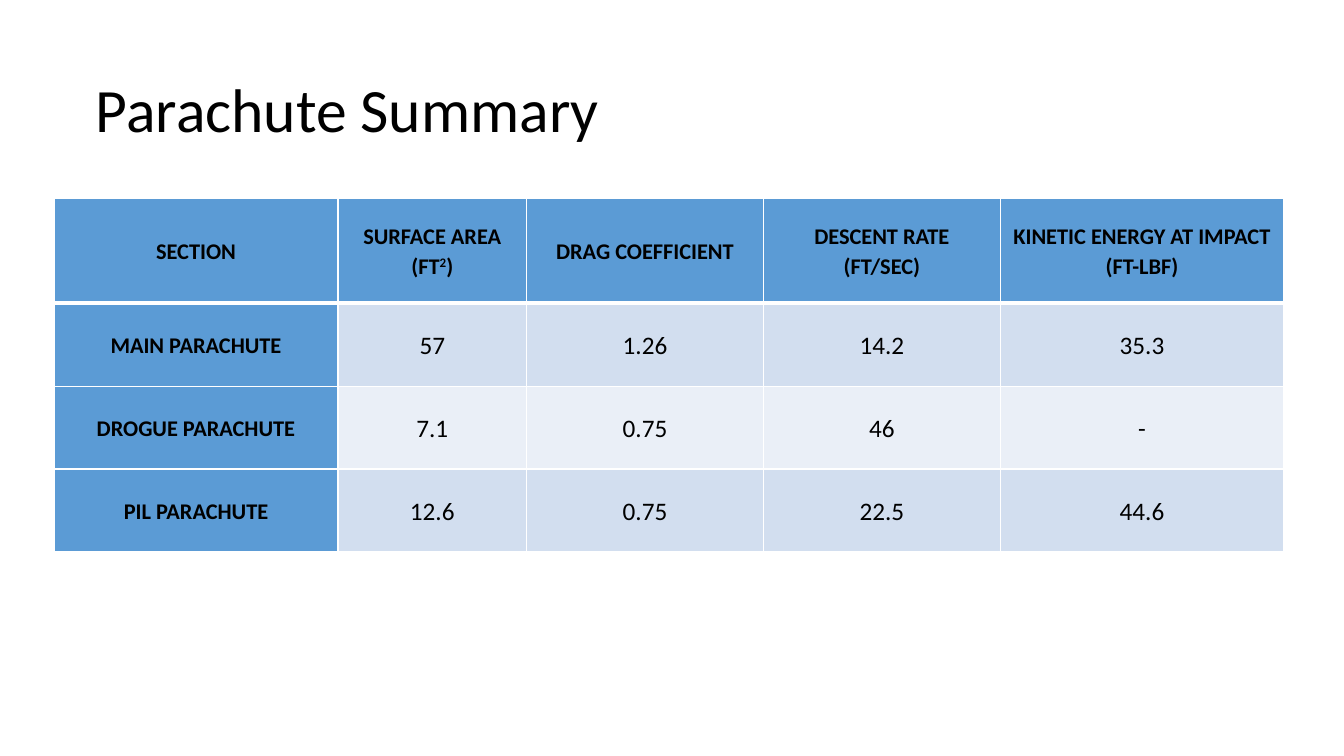
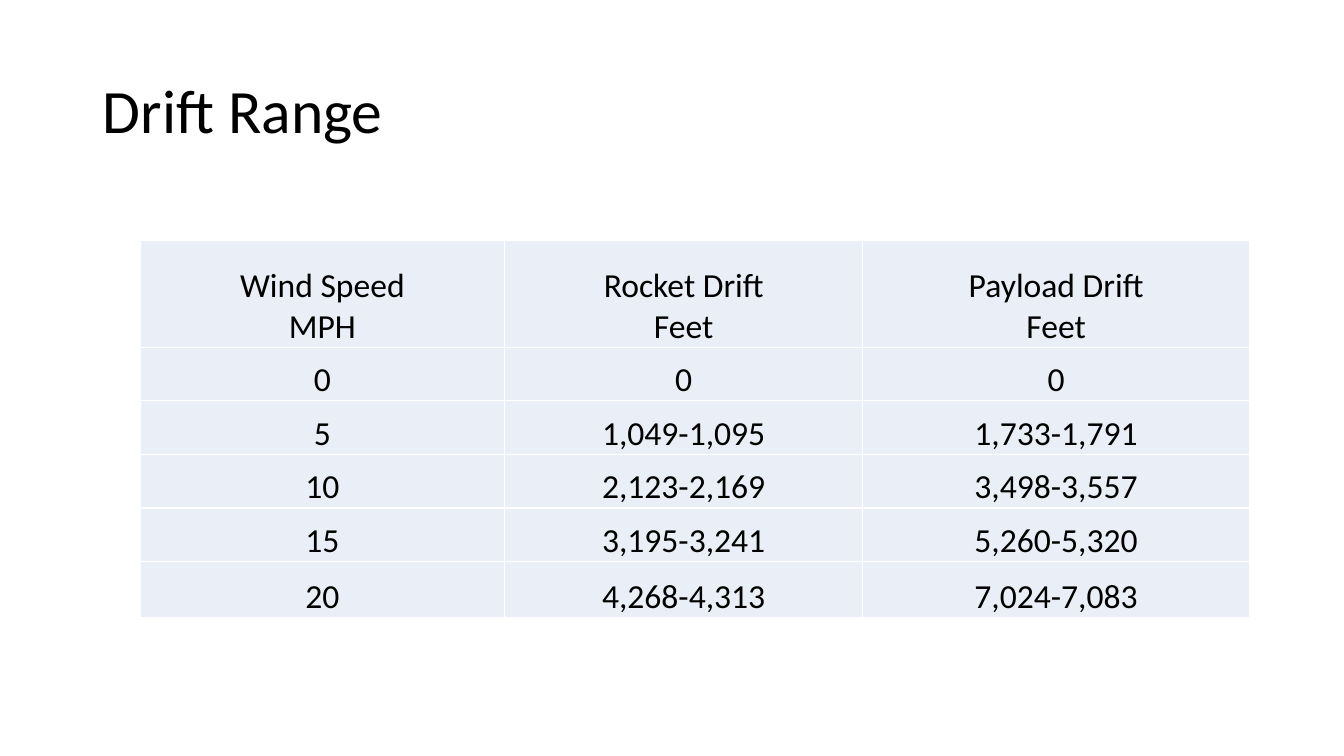
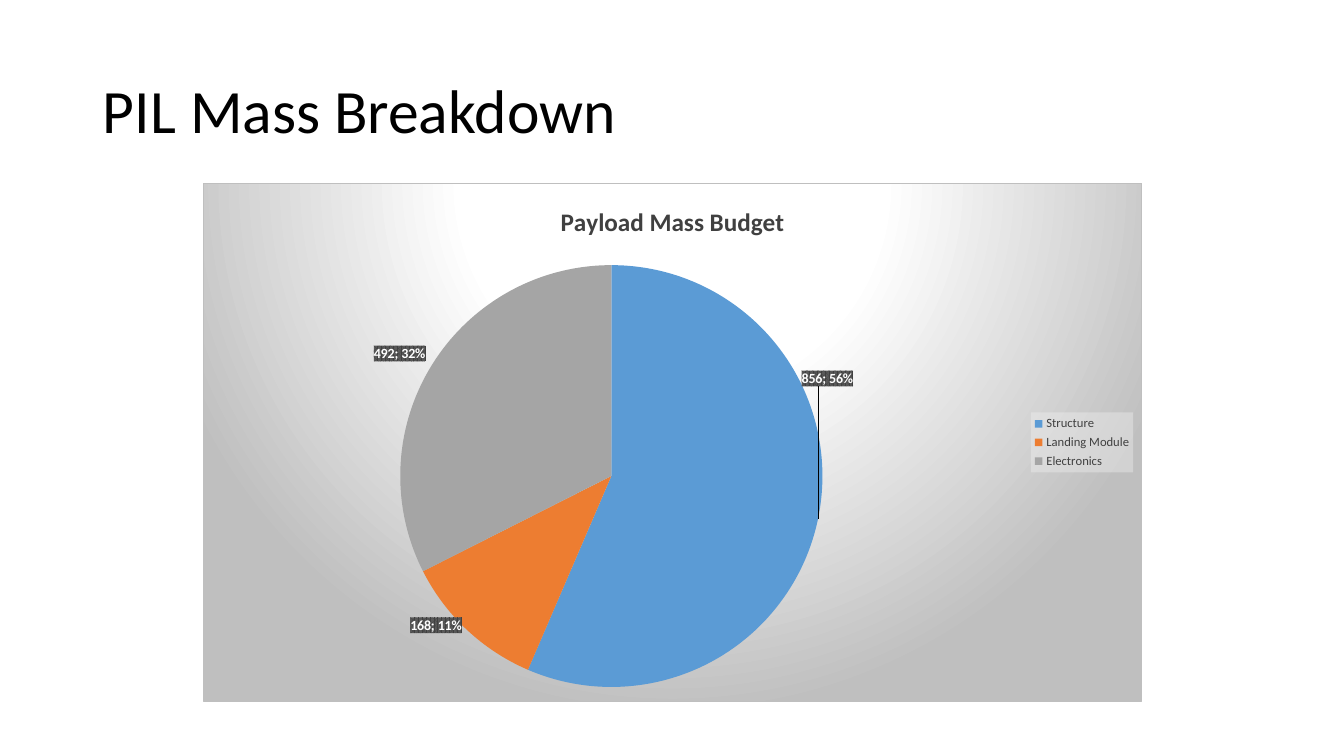
from pptx import Presentation
from pptx.chart.data import CategoryChartData
from pptx.dml.color import RGBColor
from pptx.enum.chart import XL_CHART_TYPE as ChartType, XL_LEGEND_POSITION as LegendPos
from pptx.enum.text import MSO_ANCHOR as Anchor, MSO_AUTO_SIZE as AutoSize, PP_ALIGN as Align
from pptx.oxml import parse_xml
from pptx.oxml.ns import nsdecls, qn
from pptx.util import Cm, Pt

FONT = "Calibri"
BLACK = RGBColor(0x00, 0x00, 0x00)
WHITE = RGBColor(0xFF, 0xFF, 0xFF)
DARK = RGBColor(0x40, 0x40, 0x40)
LABEL_GRAY = RGBColor(0x59, 0x59, 0x59)
EDGE_GRAY = RGBColor(0xBF, 0xBF, 0xBF)
LEGEND_GRAY = RGBColor(0xF2, 0xF2, 0xF2)
BLUE = RGBColor(0x5B, 0x9B, 0xD5)
ORANGE = RGBColor(0xED, 0x7D, 0x31)
GRAY = RGBColor(0xA5, 0xA5, 0xA5)
BAND_DARK = RGBColor(0xD2, 0xDE, 0xEF)
BAND_LIGHT = RGBColor(0xEA, 0xEF, 0xF7)

TITLE_BOX = (2.34, 1.02, 29.21, 3.68)

PARACHUTES = [
    ["SECTION", "SURFACE AREA (FT^2^)", "DRAG COEFFICIENT",
     "DESCENT RATE\n(FT/SEC)", "KINETIC ENERGY AT IMPACT\n(FT-LBF)"],
    ["MAIN PARACHUTE", "57", "1.26", "14.2", "35.3"],
    ["DROGUE PARACHUTE", "7.1", "0.75", "46", "-"],
    ["PIL PARACHUTE", "12.6", "0.75", "22.5", "44.6"],
]
DRIFT = [
    ["Wind Speed\vMPH", "Rocket Drift\vFeet", "Payload Drift\vFeet"],
    ["0", "0", "0"],
    ["5", "1,049-1,095", "1,733-1,791"],
    ["10", "2,123-2,169", "3,498-3,557"],
    ["15", "3,195-3,241", "5,260-5,320"],
    ["20", "4,268-4,313", "7,024-7,083"],
]
# Part, mass, colour, label offset from the slice centre (share of the chart)
MASSES = [
    ("Structure", 856, BLUE, (0.12, -0.23)),
    ("Landing Module", 168, ORANGE, (-0.11, 0.14)),
    ("Electronics", 492, GRAY, (-0.13, -0.13)),
]


def set_font(font, size, color=BLACK, bold=False):
    font.name, font.size, font.bold = FONT, Pt(size), bold
    font.color.rgb = color


def titled_slide(prs, text, box=TITLE_BOX):
    slide = prs.slides.add_slide(prs.slide_layouts[5])
    title = slide.shapes.title
    title.left, title.top, title.width, title.height = map(Cm, box)
    frame = title.text_frame
    frame.text = text
    frame.auto_size = AutoSize.NONE
    frame.vertical_anchor = Anchor.MIDDLE
    heading = frame.paragraphs[0]
    heading.alignment = Align.LEFT
    heading.line_spacing = 0.9
    set_font(heading.font, 44)
    return slide


# Tables

def set_borders(cell, top=1, bottom=1):
    props = cell._tc.get_or_add_tcPr()
    for side, width in (("L", 1), ("R", 1), ("T", top), ("B", bottom)):
        props.append(parse_xml(
            f'<a:ln{side} {nsdecls("a")} w="{Pt(width)}"><a:solidFill>'
            f'<a:srgbClr val="{WHITE}"/></a:solidFill></a:ln{side}>'))


def write_cell(cell, text, size, bold, spacing):
    """Each line is a paragraph; text between ^ marks is superscript."""
    frame = cell.text_frame
    frame.text = text.replace("^", "") if "^" not in text else ""
    if "^" in text:
        for i, part in enumerate(text.split("^")):
            run = frame.paragraphs[0].add_run()
            run.text = part
            if i % 2:
                run.font._element.set("baseline", "30000")
    for line in frame.paragraphs:
        line.alignment = Align.CENTER
        line.line_spacing = spacing
        set_font(line.font, size, bold=bold)


def add_grid(slide, left, top, widths, heights, rows):
    """Add a plain table and yield each cell with its row, column and text."""
    table = slide.shapes.add_table(
        len(rows), len(widths), Cm(left), Cm(top),
        Cm(sum(widths)), Cm(sum(heights))).table
    table.first_row = table.horz_banding = False
    for column, width in zip(table.columns, widths):
        column.width = Cm(width)
    for row, height in zip(table.rows, heights):
        row.height = Cm(height)
    for r, texts in enumerate(rows):
        for c, text in enumerate(texts):
            yield table.cell(r, c), r, c, text


def parachute_table(slide, left, top):
    widths = [7.16, 4.75, 5.97, 5.97, 7.14]
    heights = [2.64] + [2.09] * 3
    for cell, r, c, text in add_grid(slide, left, top, widths, heights, PARACHUTES):
        is_head = r == 0 or c == 0
        set_borders(cell, top=3 if r == 1 else 1, bottom=3 if r == 0 else 1)
        cell.fill.solid()
        cell.fill.fore_color.rgb = BLUE if is_head else (BAND_LIGHT, BAND_DARK)[r % 2]
        cell.vertical_anchor = Anchor.MIDDLE
        cell.margin_left = cell.margin_right = Cm(0.18)
        cell.margin_top = cell.margin_bottom = 0
        write_cell(cell, text, 16 if is_head else 18, is_head, 1.07)


def drift_table(slide, left, top):
    widths = [9.19, 9.02, 9.75]
    heights = [2.69] + [1.35] * 4 + [1.42]
    for cell, _, _, text in add_grid(slide, left, top, widths, heights, DRIFT):
        set_borders(cell)
        cell.fill.solid()
        cell.fill.fore_color.rgb = BAND_LIGHT
        cell.vertical_anchor = Anchor.BOTTOM
        cell.margin_left = cell.margin_right = cell.margin_top = Cm(0.03)
        cell.margin_bottom = 0
        write_cell(cell, text, 24, False, 1.0)


# Chart

def chart_part(tag, body):
    return parse_xml(f'<c:{tag} {nsdecls("c", "a")}>{body}</c:{tag}>')


def gradient_backdrop():
    stops = "".join(
        f'<a:gs pos="{pos}000"><a:srgbClr val="{color}"/></a:gs>'
        for pos, color in ((0, WHITE), (39, WHITE), (100, EDGE_GRAY)))
    return chart_part("spPr", (
        f'<a:gradFill><a:gsLst>{stops}</a:gsLst><a:path path="circle">'
        '<a:fillToRect l="50000" t="-80000" r="50000" b="180000"/></a:path></a:gradFill>'
        f'<a:ln w="{Pt(0.75)}"><a:solidFill><a:srgbClr val="{EDGE_GRAY}"/>'
        '</a:solidFill></a:ln>'))


def mass_labels():
    style = (
        '<c:spPr><a:pattFill prst="pct75">'
        f'<a:fgClr><a:srgbClr val="{DARK}"/></a:fgClr>'
        f'<a:bgClr><a:srgbClr val="{LABEL_GRAY}"/></a:bgClr></a:pattFill></c:spPr>'
        '<c:txPr><a:bodyPr/><a:p><a:pPr><a:defRPr sz="1000" b="1"><a:solidFill>'
        f'<a:srgbClr val="{WHITE}"/></a:solidFill><a:latin typeface="{FONT}"/>'
        '</a:defRPr></a:pPr><a:endParaRPr lang="en-US"/></a:p></c:txPr>'
        '<c:dLblPos val="ctr"/><c:showLegendKey val="0"/><c:showVal val="1"/>'
        '<c:showCatName val="0"/><c:showSerName val="0"/><c:showPercent val="1"/>'
        '<c:showBubbleSize val="0"/><c:separator>; </c:separator>')
    moved = "".join(
        f'<c:dLbl><c:idx val="{i}"/><c:layout><c:manualLayout>'
        f'<c:x val="{x}"/><c:y val="{y}"/></c:manualLayout></c:layout>{style}</c:dLbl>'
        for i, (_, _, _, (x, y)) in enumerate(MASSES))
    return chart_part("dLbls", f'{moved}{style}<c:showLeaderLines val="1"/>')


def pie_layout(x, y, w, h):
    return chart_part("layout", (
        '<c:manualLayout><c:layoutTarget val="inner"/>'
        '<c:xMode val="edge"/><c:yMode val="edge"/>'
        f'<c:x val="{x}"/><c:y val="{y}"/><c:w val="{w}"/><c:h val="{h}"/>'
        '</c:manualLayout>'))


def mass_chart(slide, left, top, width, height):
    data = CategoryChartData()
    data.categories = [part for part, *_ in MASSES]
    data.add_series("Series 1", [mass for _, mass, *_ in MASSES])
    chart = slide.shapes.add_chart(
        ChartType.PIE, Cm(left), Cm(top), Cm(width), Cm(height), data).chart
    set_font(chart.font, 10)

    # Title and legend
    chart.has_title = True
    chart.chart_title.text_frame.text = "Payload Mass Budget"
    set_font(chart.chart_title.text_frame.paragraphs[0].font, 18, DARK, True)
    chart.has_legend = True
    legend = chart.legend
    legend.position = LegendPos.RIGHT
    legend.include_in_layout = False
    set_font(legend.font, 9, DARK)
    legend._element.find(qn("c:txPr")).addprevious(chart_part("spPr", (
        f'<a:solidFill><a:srgbClr val="{LEGEND_GRAY}"><a:alpha val="39000"/>'
        '</a:srgbClr></a:solidFill>')))

    # Slices and their labels
    plot = chart.plots[0]
    plot.vary_by_categories = True
    masses = plot.series[0]
    for i, (_, _, color, _) in enumerate(MASSES):
        slice_fill = masses.points[i].format.fill
        slice_fill.solid()
        slice_fill.fore_color.rgb = color
    labels = masses.data_labels._element
    labels.getparent().replace(labels, mass_labels())

    # Plot area and backdrop
    body = chart._chartSpace.find(qn("c:chart"))
    body.addnext(gradient_backdrop())
    plot_area = body.find(qn("c:plotArea"))
    for layout in plot_area.findall(qn("c:layout")):
        plot_area.remove(layout)
    plot_area.insert(0, pie_layout(0.21, 0.15, 0.45, 0.83))


def main():
    prs = Presentation()
    prs.slide_width, prs.slide_height = Cm(33.87), Cm(19.05)
    parachute_table(
        titled_slide(prs, "Parachute Summary", (2.16, 0.97, 29.39, 3.73)), 1.36, 5)
    drift_table(titled_slide(prs, "Drift Range"), 3.53, 6.06)
    mass_chart(titled_slide(prs, "PIL Mass Breakdown"), 5.11, 4.62, 23.67, 13.06)
    prs.save("out.pptx")


if __name__ == "__main__":
    main()
